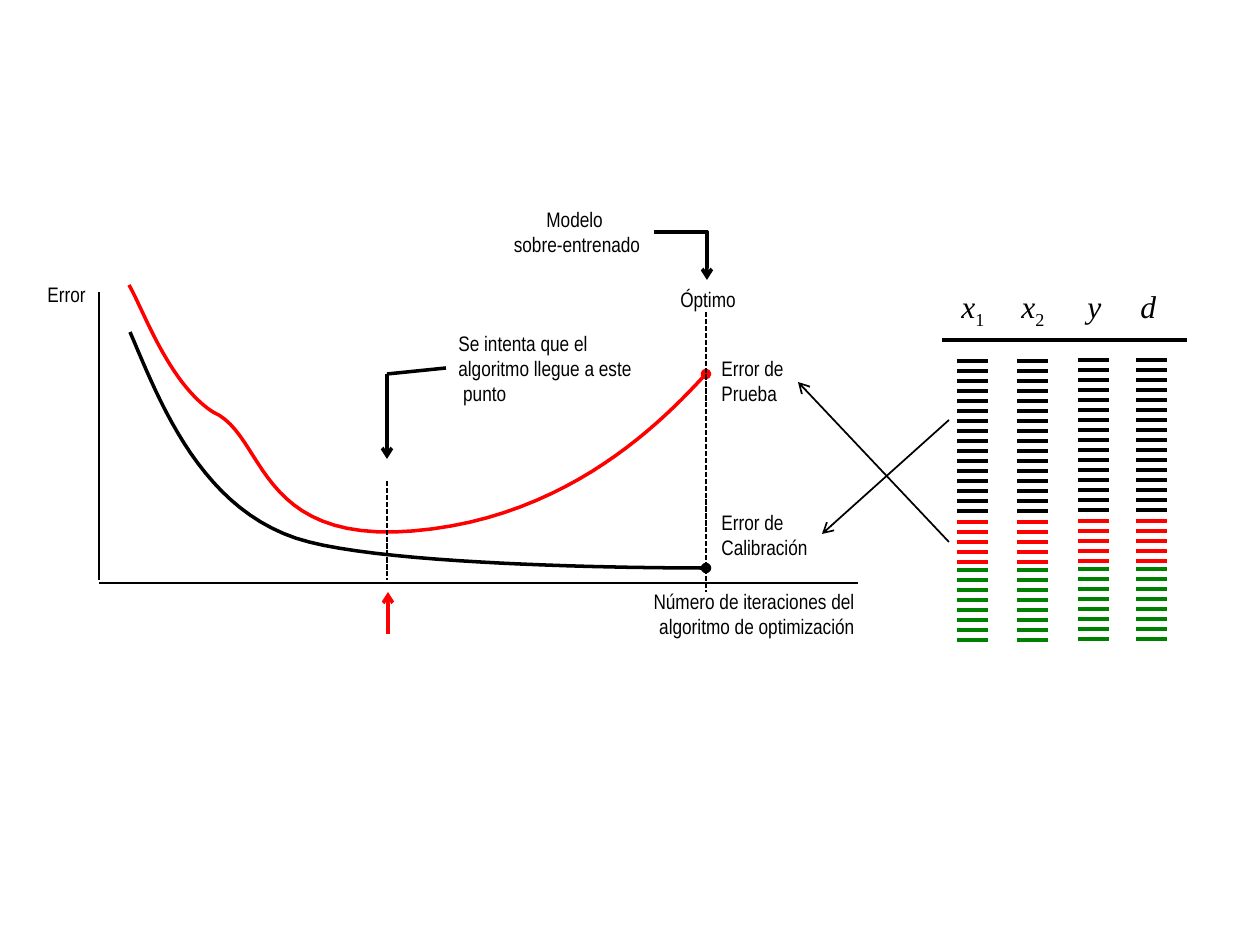
"""Slide with test and calibration error curves beside the data split into sets."""
from lxml.etree import SubElement
from pptx import Presentation
from pptx.dml.color import RGBColor
from pptx.enum.dml import MSO_LINE_DASH_STYLE as Dash
from pptx.enum.shapes import MSO_CONNECTOR as Connector
from pptx.enum.text import MSO_AUTO_SIZE as AutoSize, PP_ALIGN as Align
from pptx.oxml.ns import qn
from pptx.util import Emu, Pt

PX = 914400 / 126
COLORS = {"black": "000000", "red": "FF0000", "green": "008000"}


def style_line(shape, color, width, end=None):
    shape.line.color.rgb = RGBColor.from_string(COLORS[color])
    shape.line.width = Pt(width)
    if end:
        SubElement(shape.get_or_add_ln(), qn("a:tailEnd"), type=end)


def add_line(shapes, ends, color, width, kind=Connector.STRAIGHT):
    line = shapes.add_connector(kind, *[Emu(round(value * PX)) for value in ends])
    line.line.color.rgb = RGBColor.from_string(COLORS[color])
    line.line.width = Pt(width)
    SubElement(line._element.spPr, qn("a:effectLst"))
    return line


presentation = Presentation()
presentation.slide_width = Emu(round(1260 * PX))
presentation.slide_height = Emu(round(945 * PX))
slide = presentation.slides.add_slide(presentation.slide_layouts[6])

for axis in [(99, 292, 99, 580), (858, 583, 99, 583)]:
    add_line(slide.shapes, axis, "black", 1.5)

curves = [
    ("black", [(130, 332), (160, 402), (202, 515), (309, 542),
               (415, 569), (706, 568), (706, 568)]),
    ("red", [(129, 285), (142, 306), (168, 383), (213, 412),
             (266, 435), (255, 544), (413, 531), (572, 518), (667, 416), (706, 374)]),
]
steps = 24
for color, controls in curves:
    points = [(controls[0][0] * 100, controls[0][1] * 100)]
    for first in range(0, len(controls) - 1, 3):
        segment = controls[first:first + 4]
        for step in range(1, steps + 1):
            t = step / steps
            weights = ((1 - t) ** 3, 3 * t * (1 - t) ** 2, 3 * t ** 2 * (1 - t), t ** 3)
            points.append(tuple(
                round(100 * sum(weight * control[axis] for weight, control in zip(weights, segment)))
                for axis in (0, 1)))
    builder = slide.shapes.build_freeform(*points[0], scale=PX / 100)
    builder.add_line_segments(points[1:], close=False)
    curve = builder.convert_to_shape()
    curve.shadow.inherit = False
    curve.fill.background()
    style_line(curve, color, 2, "oval")

for marker in [(387, 481, 387, 580), (706, 312, 706, 592)]:
    add_line(slide.shapes, marker, "black", 1).line.dash_style = Dash.SQUARE_DOT

for rule in [(387, 374, 446, 368), (942, 340, 1187, 340)]:
    add_line(slide.shapes, rule, "black", 2)

arrows = [
    ((387, 374, 387, 459), "black", 2, Connector.STRAIGHT),
    ((949, 420, 822, 534), "black", 1, Connector.STRAIGHT),
    ((949, 542, 798, 382), "black", 1, Connector.STRAIGHT),
    ((388, 634, 388, 592), "red", 2, Connector.STRAIGHT),
    ((654, 232, 707, 280), "black", 2, Connector.ELBOW),
]
for ends, color, width, kind in arrows:
    arrow = add_line(slide.shapes, ends, color, width, kind)
    SubElement(arrow.get_or_add_ln(), qn("a:tailEnd"), type="arrow")
    if kind == Connector.ELBOW:
        arrow._element.spPr.find(qn("a:prstGeom")).set("prst", "bentConnector2")

columns = [(957, 0), (1017, 0), (1078, -1), (1136, -1)]
data_sets = [("black", 16, 361, 511), ("red", 5, 522, 562), ("green", 8, 570, 640)]
for color, rows, top, bottom in data_sets:
    group = slide.shapes.add_group_shape()
    for row in range(rows):
        for left, shift in columns:
            y = top + row * (bottom - top) / (rows - 1) + shift
            add_line(group.shapes, (left, y, left + 31, y), color, 2)

labels = [
    ((639, 582, 228, 63), Align.RIGHT, ["Número de iteraciones del ", "algoritmo de optimización"]),
    ((35, 275, 64, 38), Align.LEFT, ["Error"]),
    ((709, 503, 112, 63), Align.LEFT, ["Error de", "Calibración"]),
    ((709, 349, 88, 63), Align.LEFT, ["Error de", "Prueba"]),
    ((446, 324, 203, 89), Align.LEFT, ["Se intenta que el", "algoritmo llegue a este", " punto"]),
    ((667, 280, 82, 38), Align.CENTER, ["Óptimo "]),
    ((501, 200, 152, 63), Align.CENTER, ["Modelo ", "sobre-entrenado"]),
]
variables = [
    ((949, 281, 50, 50), "x", "1"), ((1009, 281, 50, 50), "x", "2"),
    ((1075, 281, 43, 50), "y", ""), ((1128, 281, 45, 50), "d", ""),
]
texts = [(box, align, [[line] for line in lines], "Arial Narrow", 12)
         for box, align, lines in labels]
texts += [(box, Align.LEFT, [[name, index] if index else [name]], "Times New Roman", 18)
          for box, name, index in variables]
for box, align, lines, font_name, size in texts:
    shape = slide.shapes.add_textbox(*[Emu(round(value * PX)) for value in box])
    frame = shape.text_frame
    frame.word_wrap = False
    frame.auto_size = AutoSize.SHAPE_TO_FIT_TEXT
    for number, line in enumerate(lines):
        paragraph = frame.add_paragraph() if number else frame.paragraphs[0]
        paragraph.alignment = align
        for position, text in enumerate(line):
            run = paragraph.add_run()
            run.text = text
            run.font.name = font_name
            run.font.size = Pt(size)
            run.font.color.rgb = RGBColor.from_string(COLORS["black"])
            run.font.italic = size == 18 and position == 0
            if position:
                run._r.get_or_add_rPr().set("baseline", "-25000")

presentation.save("out.pptx")
